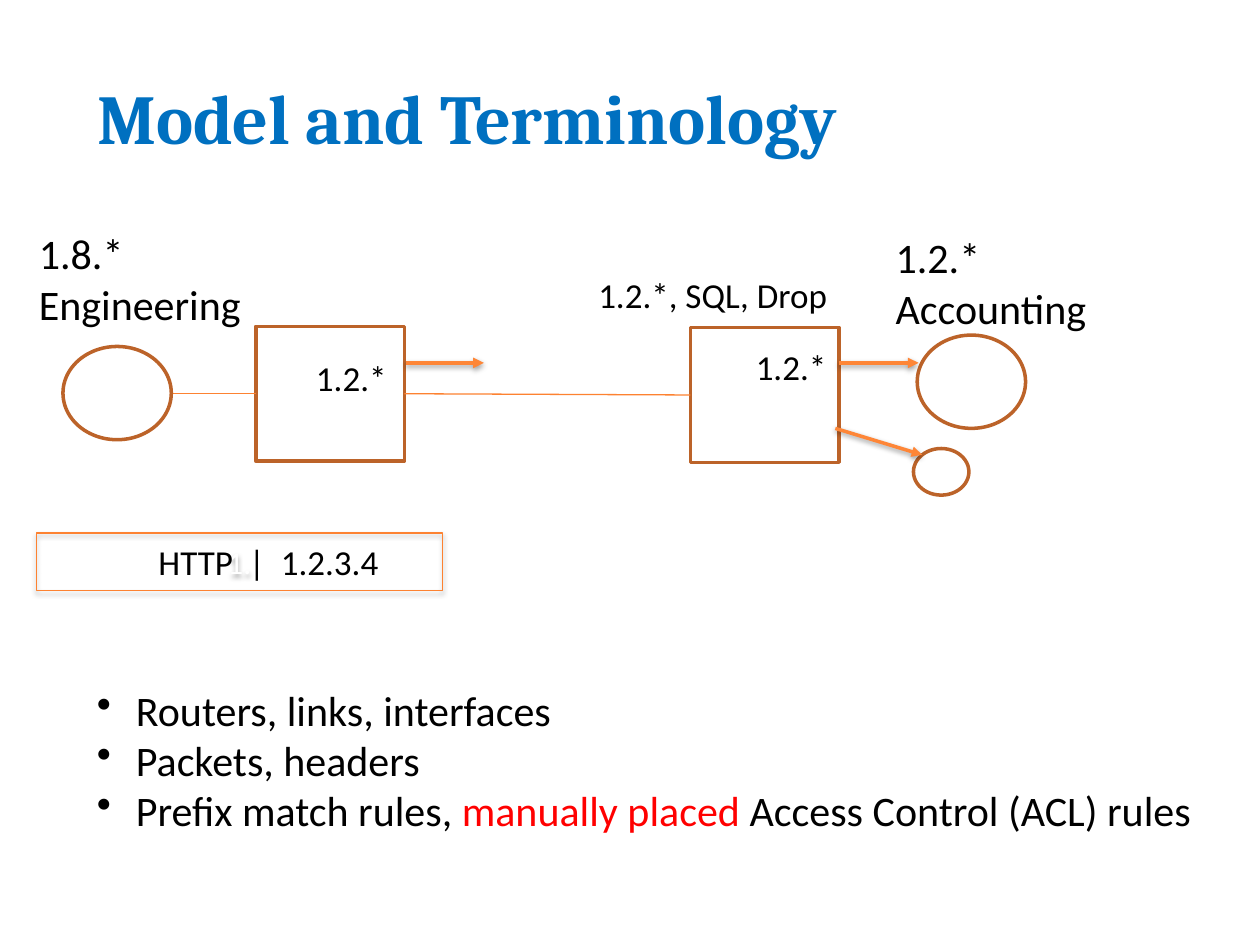
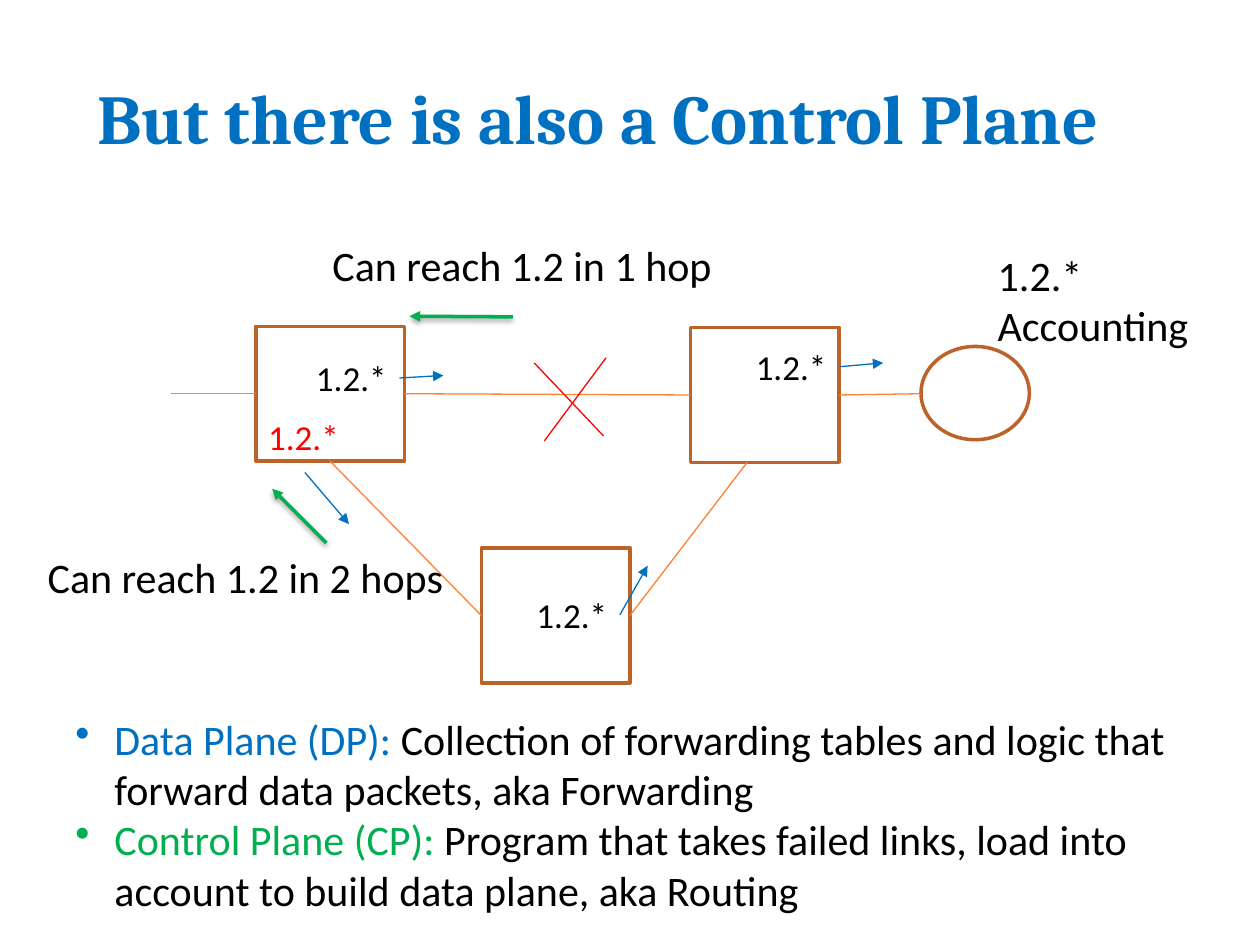
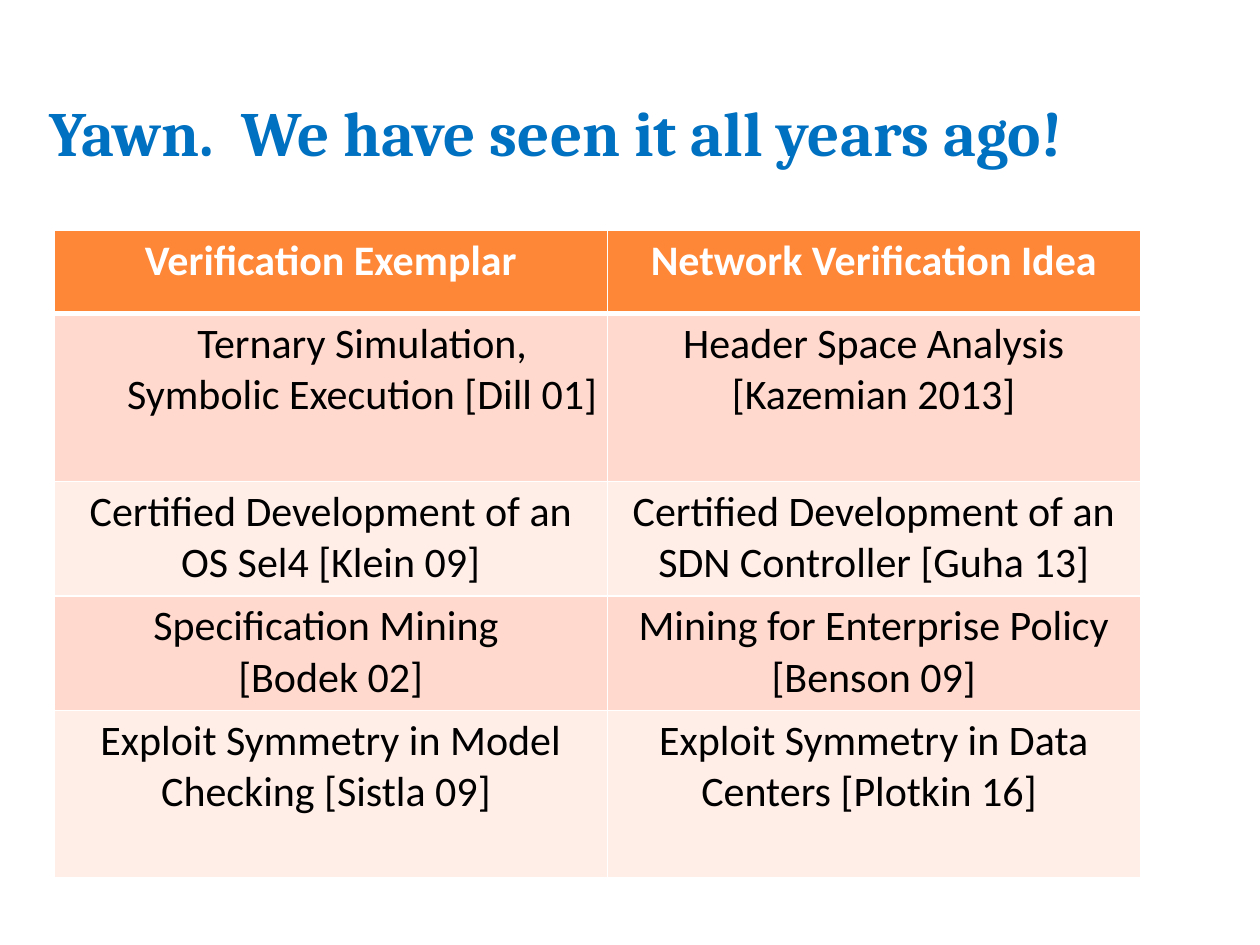
import dataclasses

import lxml.etree
import pptx
import pptx.dml.color
import pptx.enum.shapes
import pptx.enum.text
import pptx.oxml
import pptx.oxml.ns
import pptx.util

# The page is a grid of 100 columns by 75 rows of square cells
COLUMNS, ROWS = 100, 75
CELL = pptx.util.Inches(0.1)
ROUTER_SIZE = (11.8, 10.7)
HOST_SIZE = (8.6, 7.4)
TOP, LEFT, BOTTOM, RIGHT = range(4)
ADDRESS = "1.2.*"


@dataclasses.dataclass(frozen=True)
class Theme:
    title_font: str = "Cambria"
    body_font: str = "Calibri"
    title: int = 40
    long_title: int = 36
    body: int = 24
    label: int = 20
    small: int = 18
    thin: float = 0.75
    thick: float = 2
    blue: str = "0070C0"
    green: str = "00B050"
    red: str = "FF0000"
    black: str = "000000"
    white: str = "FFFFFF"
    node: str = "BC6329"
    link: str = "FD8231"
    accent: str = "FE8637"
    band_dark: str = "FFD9CE"
    band_light: str = "FFEDE8"


THEME = Theme()


# Basic helpers
def cells(*counts):
    return [pptx.util.Emu(round(count * CELL)) for count in counts]


def rgb(colour):
    return pptx.dml.color.RGBColor.from_string(colour)


def add_xml(parent, tag, **attributes):
    child = lxml.etree.SubElement(parent, pptx.oxml.ns.qn(tag))
    for name, value in attributes.items():
        child.set(name, str(value))
    return child


def write(frame, paragraphs, size, colour=THEME.black, font=THEME.body_font,
          bold=False, align=None):
    """Each paragraph is a string or a list of (words, colour) spans."""
    for index, spans in enumerate(paragraphs):
        para = frame.add_paragraph() if index else frame.paragraphs[0]
        para.alignment = align
        if isinstance(spans, str):
            spans = [(spans, colour)]
        for words, span_colour in spans:
            span = para.add_run()
            span.text = words
            span.font.name = font
            span.font.size = pptx.util.Pt(size)
            span.font.bold = bold
            span.font.color.rgb = rgb(span_colour)


def cast_shadow(effects, opacity, distance):
    shadow = add_xml(effects, "a:outerShdw", blurRad=pptx.util.Pt(3.1),
                     dist=pptx.util.Pt(distance), dir=90 * 60000,
                     rotWithShape=0)
    black = add_xml(shadow, "a:srgbClr", val=THEME.black)
    add_xml(black, "a:alpha", val=opacity * 1000)


# Slide elements
def add_page(deck, title, size=THEME.title, area=(6.7, 3, 88.3, 12.5),
             inset=1):
    page = deck.slides.add_slide(deck.slide_layouts[5])
    box = page.shapes.title
    box.left, box.top, box.width, box.height = cells(*area)
    frame = box.text_frame
    frame.word_wrap = True
    frame.auto_size = pptx.enum.text.MSO_AUTO_SIZE.NONE
    frame.vertical_anchor = pptx.enum.text.MSO_ANCHOR.MIDDLE
    frame.margin_left = cells(inset)[0]
    write(frame, [title], size, THEME.blue, THEME.title_font, True,
          pptx.enum.text.PP_ALIGN.LEFT)
    return page


def add_outline(page, kind, place, size, colour=THEME.node,
                weight=THEME.thick):
    shape = page.shapes.add_shape(kind, *cells(*place, *size))
    shape.shadow.inherit = False
    shape.fill.background()
    shape.line.color.rgb = rgb(colour)
    shape.line.width = pptx.util.Pt(weight)
    return shape


def add_router(page, *place):
    return add_outline(page, pptx.enum.shapes.MSO_SHAPE.RECTANGLE, place,
                       ROUTER_SIZE)


def add_host(page, *place, size=HOST_SIZE):
    return add_outline(page, pptx.enum.shapes.MSO_SHAPE.OVAL, place, size)


def add_text(page, paragraphs, left, top, width, size=THEME.body,
             colour=THEME.black, lines=None, wrap=False):
    line_height = size * 1.2 / 7.2
    height = 1 + (lines or len(paragraphs)) * line_height
    box = page.shapes.add_textbox(*cells(left, top, width, height))
    frame = box.text_frame
    frame.word_wrap = wrap
    frame.auto_size = pptx.enum.text.MSO_AUTO_SIZE.SHAPE_TO_FIT_TEXT
    write(frame, paragraphs, size, colour)
    return box


def add_address(page, left, top, colour=THEME.black):
    add_text(page, [ADDRESS], left, top, 7.7, THEME.label, colour)


def add_bullets(page, paragraphs, left, top, lines):
    box = add_text(page, paragraphs, left, top, 91.5, lines=lines, wrap=True)
    indent = cells(3.1)[0]
    for para in box.text_frame.paragraphs:
        properties = para._p.get_or_add_pPr()
        properties.set("marL", str(indent))
        properties.set("indent", str(-indent))
        add_xml(properties, "a:buChar", char="•")


def add_line(page, start, end, colour=THEME.link, weight=THEME.thin,
             arrow=False, shadow=False):
    """An end is a (column, row) point or a (shape, side) joint."""
    joined = [not isinstance(spot[0], (int, float)) for spot in (start, end)]
    points = [(0, 0) if joint else spot
              for joint, spot in zip(joined, (start, end))]
    line = page.shapes.add_connector(
        pptx.enum.shapes.MSO_CONNECTOR.STRAIGHT,
        *cells(*points[0], *points[1]))
    if joined[0]:
        line.begin_connect(*start)
    if joined[1]:
        line.end_connect(*end)
    line.line.color.rgb = rgb(colour)
    line.line.width = pptx.util.Pt(weight)
    if arrow:
        add_xml(line.line._get_or_add_ln(), "a:tailEnd", type="triangle")
    effects = add_xml(line._element.spPr, "a:effectLst")
    if shadow:
        cast_shadow(effects, 38, 1.6)


def add_bold_arrow(page, start, end, colour=THEME.accent):
    add_line(page, start, end, colour, THEME.thick, arrow=True, shadow=True)


def add_flow_arrow(page, start, end):
    add_line(page, start, end, THEME.blue, arrow=True)


def add_network(page):
    """Two linked routers with their forwarding entries."""
    west = add_router(page, 20.3, 25.9)
    east = add_router(page, 54.8, 26)
    add_line(page, (west, RIGHT), (east, LEFT))
    add_line(page, (13.6, 31.25), (west, LEFT))
    add_address(page, 24.1, 27.8)
    add_address(page, 59, 26.9)
    return west, east


def set_borders(cell, weights):
    properties = cell._tc.get_or_add_tcPr()
    for side, weight in zip("LRTB", weights):
        border = add_xml(properties, f"a:ln{side}", w=pptx.util.Pt(weight))
        fill = add_xml(border, "a:solidFill")
        add_xml(fill, "a:srgbClr", val=THEME.white)


def add_table(page, rows, place, widths, heights):
    frame = page.shapes.add_table(
        len(rows), len(widths), *cells(*place, sum(widths), sum(heights)))
    table = frame.table
    table.horz_banding = False
    for column, width in zip(table.columns, widths):
        column.width = cells(width)[0]
    for number, (row, height) in enumerate(zip(rows, heights)):
        table.rows[number].height = cells(height)[0]
        header = number == 0
        band = THEME.band_dark if number % 2 else THEME.band_light
        for position, paragraphs in enumerate(row):
            cell = table.cell(number, position)
            set_borders(cell, (1, 1, 3 if number == 1 else 1,
                               3 if header else 1))
            cell.fill.solid()
            cell.fill.fore_color.rgb = rgb(THEME.accent if header else band)
            cell.margin_left = cell.margin_right = cells(0.7)[0]
            cell.margin_top = cell.margin_bottom = cells(0.4)[0]
            write(cell.text_frame, paragraphs, THEME.body,
                  THEME.white if header else THEME.black, bold=header,
                  align=pptx.enum.text.PP_ALIGN.CENTER)
    return table


# Slides
def build_model(deck):
    page = add_page(deck, "Model and Terminology")
    add_network(page)
    add_host(page, 5, 27.5)
    add_host(page, 72.8, 26.6)
    add_host(page, 72.5, 35.6, size=(4.4, 3.7))
    add_text(page, [ADDRESS, "Accounting"], 70.1, 17.9, 17.3)
    add_text(page, ["1.8.*", "Engineering"], 2.1, 17.6, 18.2)
    add_text(page, ["1.2.*, SQL, Drop"], 46.5, 21.2, 20.3, THEME.label)

    # Packet with its header fields
    packet = add_outline(page, pptx.enum.shapes.MSO_SHAPE.RECTANGLE,
                         (2.9, 42.3), (32.2, 4.6), THEME.link, THEME.thin)
    cast_shadow(packet._element.spPr.find(pptx.oxml.ns.qn("a:effectLst")),
                35, 1.8)
    packet.text_frame.vertical_anchor = pptx.enum.text.MSO_ANCHOR.MIDDLE
    write(packet.text_frame, ["1."], THEME.small, THEME.white,
          align=pptx.enum.text.PP_ALIGN.CENTER)
    add_text(page, ["HTTP  |  1.2.3.4"], 11.6, 42.4, 19.6, THEME.label)

    # Forwarding directions
    for start, end in (((32.2, 28.8), (38.4, 28.8)),
                       ((66.6, 28.8), (72.9, 28.8)),
                       ((66.3, 34), (73.2, 36.1))):
        add_bold_arrow(page, start, end)

    add_bullets(page, [
        "Routers, links, interfaces",
        "Packets, headers",
        [("Prefix match rules, ", THEME.black),
         ("manually placed ", THEME.red),
         ("Access Control (ACL) rules", THEME.black)],
    ], 6.7, 53.8, lines=3)


def build_control_plane(deck):
    page = add_page(deck, "But there is also a Control Plane")
    west, east = add_network(page)
    south = add_router(page, 38.2, 43.5)
    add_line(page, (west, BOTTOM), (south, LEFT))
    add_line(page, (south, RIGHT), (59.3, 36.7))
    add_host(page, 73.1, 27.5)
    add_line(page, (east, RIGHT), (73.1, 31.25))
    add_text(page, [ADDRESS, "Accounting"], 78.2, 19.3, 17.3)
    add_address(page, 41.6, 46.6)
    add_address(page, 20.3, 32.5, THEME.red)

    # Data plane flow
    for start, end in (((31.7, 30), (35.2, 29.8)),
                       ((66.7, 29.1), (70.1, 28.8)),
                       ((49.2, 48.8), (51.4, 44.9)),
                       ((24.2, 37.5), (27.7, 41.6))):
        add_flow_arrow(page, start, end)

    # Failed link
    add_line(page, (42.4, 28.8), (47.9, 34.6), THEME.red)
    add_line(page, (43.2, 35), (48.1, 28.4), THEME.red)

    # Control plane announcements
    add_bold_arrow(page, (25.9, 43.1), (21.6, 38.8), THEME.green)
    add_bold_arrow(page, (40.7, 25.15), (32.5, 25.1), THEME.green)
    add_text(page, ["Can reach 1.2 in 2 hops"], 2.8, 43.3, 33.7)
    add_text(page, ["Can reach 1.2 in 1 hop"], 25.4, 18.5, 32.4)

    add_bullets(page, [
        [("Data Plane (DP):", THEME.blue),
         (" Collection of forwarding tables and logic that forward data "
          "packets, aka Forwarding", THEME.black)],
        [("Control Plane (CP): ", THEME.green),
         ("Program that takes failed links, load into account to build "
          "data plane, aka Routing", THEME.black)],
    ], 5, 56.1, lines=4)


def build_comparison(deck):
    page = add_page(deck, "Yawn.  We have seen it all years ago!",
                    THEME.long_title, (1.8, 7.5, 98.2, 5.8), inset=2.1)
    table = add_table(page, [
        (["Verification Exemplar"], ["Network Verification Idea"]),
        (["Ternary Simulation, Symbolic Execution [Dill 01]"],
         ["Header Space Analysis", "[Kazemian 2013]"]),
        (["Certified Development of an OS Sel4 [Klein 09]"],
         ["Certified Development of an SDN Controller [Guha 13]"]),
        (["Specification Mining ", "[Bodek 02]"],
         ["Mining for Enterprise Policy", "[Benson 09]"]),
        (["Exploit Symmetry in Model Checking [Sistla 09] "],
         ["Exploit Symmetry in Data Centers [Plotkin 16] "]),
    ], (4.3, 18.3), (43.9, 42.3), (6.6, 13.3, 9.1, 9.1, 13.3))

    # The first exemplar is indented
    para = table.cell(1, 0).text_frame.paragraphs[0]
    para.level = 1
    properties = para._p.get_or_add_pPr()
    properties.set("marL", str(cells(5)[0]))
    properties.set("indent", "0")


def main():
    deck = pptx.Presentation()
    deck.slide_width, deck.slide_height = cells(COLUMNS, ROWS)
    build_model(deck)
    build_control_plane(deck)
    build_comparison(deck)
    deck.save("out.pptx")


if __name__ == "__main__":
    main()
